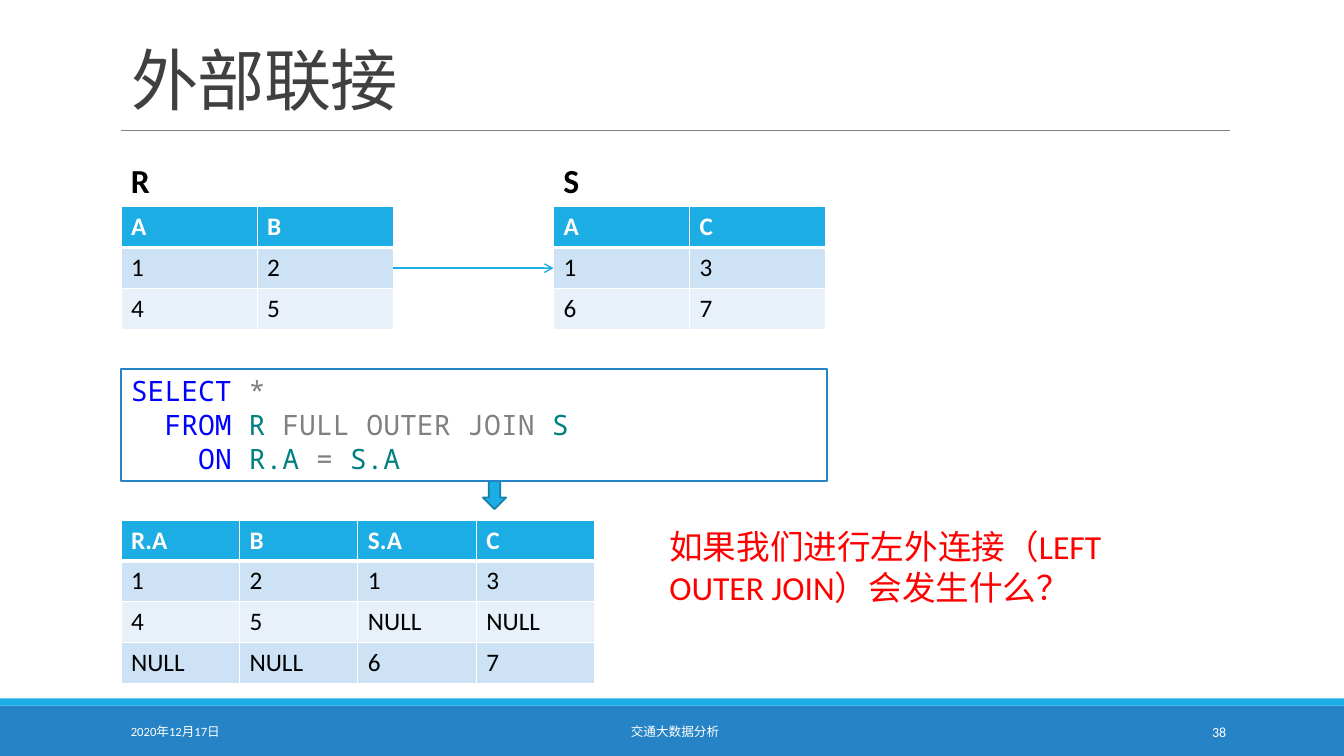
from lxml.etree import SubElement
from pptx import Presentation
from pptx.dml.color import RGBColor
from pptx.enum.shapes import MSO_CONNECTOR, MSO_SHAPE
from pptx.enum.text import MSO_ANCHOR, MSO_AUTO_SIZE, PP_ALIGN
from pptx.oxml.ns import qn
from pptx.util import Emu, Pt

PX = 9144  # 100 px to the inch
FONT = "Calibri"
CODE_FONT = "Noto Sans Mono"
COLORS = {
    "white": "FFFFFF", "black": "000000", "title": "404040", "gray": "808080",
    "accent": "1CADE4", "accent_dark": "1580A9", "blue": "2683C6",
    "band_dark": "CDE3F5", "band_light": "E8F1FA", "red": "FF0000",
    "keyword": "0000FF", "identifier": "008080",
}
SQL_LINES = [
    [("SELECT ", "keyword"), ("*", "gray")],
    [("  ", "black"), ("FROM ", "keyword"), ("R ", "identifier"),
     ("FULL OUTER JOIN ", "gray"), ("S", "identifier")],
    [("    ", "black"), ("ON ", "keyword"), ("R.A ", "identifier"),
     ("= ", "gray"), ("S.A", "identifier")],
]


def px(*lengths):
    return [Emu(length * PX) for length in lengths]


def color(name):
    return RGBColor.from_string(COLORS[name])


class SlideBuilder:
    def __init__(self, slide):
        self.slide = slide
        self.shapes = slide.shapes

    def style_run(self, run, size, color_name, bold=False, font=FONT):
        run.font.name = font
        run.font.size = Pt(size)
        run.font.bold = bold
        run.font.color.rgb = color(color_name)

    def title(self, text, box):
        title = self.shapes.title
        title.left, title.top, title.width, title.height = px(*box)
        frame = title.text_frame
        frame.text = text
        frame.auto_size = MSO_AUTO_SIZE.NONE
        frame.vertical_anchor = MSO_ANCHOR.BOTTOM
        paragraph = frame.paragraphs[0]
        paragraph.alignment = PP_ALIGN.LEFT
        paragraph.line_spacing = 0.85
        run = paragraph.runs[0]
        self.style_run(run, 48, "title")
        run.font._element.set("spc", "-50")

    def text(self, text, box, size, color_name, bold=False,
             align=PP_ALIGN.LEFT, anchor=MSO_ANCHOR.TOP):
        frame = self.shapes.add_textbox(*px(*box)).text_frame
        frame.word_wrap = True
        frame.vertical_anchor = anchor
        frame.text = text
        paragraph = frame.paragraphs[0]
        paragraph.alignment = align
        self.style_run(paragraph.runs[0], size, color_name, bold)

    def shape(self, preset, box, fill, line=None):
        shape = self.shapes.add_shape(preset, *px(*box))
        shape.shadow.inherit = False
        shape.fill.solid()
        shape.fill.fore_color.rgb = color(fill)
        if line:
            shape.line.color.rgb = color(line)
            shape.line.width = Pt(1.25)
        else:
            shape.line.fill.background()
        return shape

    def line(self, start, end, color_name, width, arrow=False):
        connector = self.shapes.add_connector(
            MSO_CONNECTOR.STRAIGHT, *px(*start, *end))
        connector.line.color.rgb = color(color_name)
        connector.line.width = Pt(width)
        if arrow:
            SubElement(connector.line._get_or_add_ln(), qn("a:tailEnd"), type="arrow")
        SubElement(connector._element.spPr, qn("a:effectLst"))

    def cell_borders(self, cell, bottom_width):
        properties = cell._tc.get_or_add_tcPr()
        for side, width in (("L", 1), ("R", 1), ("T", 1), ("B", bottom_width)):
            border = SubElement(properties, qn("a:ln" + side), w=str(Pt(width)))
            fill = SubElement(border, qn("a:solidFill"))
            SubElement(fill, qn("a:srgbClr"), val=COLORS["white"])

    def table(self, rows, box):
        table = self.shapes.add_table(len(rows), len(rows[0]), *px(*box)).table
        for row_index, row in enumerate(rows):
            header = row_index == 0
            band = "band_dark" if row_index % 2 else "band_light"
            for column_index, value in enumerate(row):
                cell = table.cell(row_index, column_index)
                cell.text = value
                self.style_run(cell.text_frame.paragraphs[0].runs[0], 18,
                               "white" if header else "black", header)
                self.cell_borders(cell, 3 if header else 1)
                cell.fill.solid()
                cell.fill.fore_color.rgb = color("accent" if header else band)

    def code(self, lines, box):
        frame = self.shape(MSO_SHAPE.RECTANGLE, box, "white", "blue").text_frame
        frame.word_wrap = True
        frame.vertical_anchor = MSO_ANCHOR.TOP
        for index, line in enumerate(lines):
            paragraph = frame.add_paragraph() if index else frame.paragraphs[0]
            paragraph.alignment = PP_ALIGN.LEFT
            for text, color_name in line:
                run = paragraph.add_run()
                run.text = text
                self.style_run(run, 20, color_name, font=CODE_FONT)


def main():
    presentation = Presentation()
    presentation.slide_width, presentation.slide_height = px(1333, 750)
    builder = SlideBuilder(
        presentation.slides.add_slide(presentation.slide_layouts[5]))

    builder.shape(MSO_SHAPE.RECTANGLE, (0, 700, 1333, 50), "blue")
    builder.shape(MSO_SHAPE.RECTANGLE, (0, 693, 1333, 7), "accent")
    builder.line((120, 129), (1220, 129), "gray", 0.5)
    builder.title("外部联接", (120, 14, 1100, 109))

    for text, left, width, size, align in (
            ("2020年12月17日", 120, 270, 9, PP_ALIGN.LEFT),
            ("交通大数据分析", 406, 527, 9, PP_ALIGN.CENTER),
            ("38", 1083, 143, 10, PP_ALIGN.RIGHT)):
        builder.text(text, (left, 706, width, 40), size, "white",
                     align=align, anchor=MSO_ANCHOR.MIDDLE)

    for name, left, rows in (
            ("R", 120, [("A", "B"), ("1", "2"), ("4", "5")]),
            ("S", 549, [("A", "C"), ("1", "3"), ("6", "7")])):
        builder.text(name, (left, 154, 39, 51), 24, "black", bold=True)
        builder.table(rows, (left, 205, 270, 122))
    builder.line((390, 266), (549, 266), "accent", 1, arrow=True)

    builder.shape(MSO_SHAPE.DOWN_ARROW, (479, 457, 23, 48), "accent", "accent_dark")
    builder.code(SQL_LINES, (120, 366, 700, 111))
    builder.table([("R.A", "B", "S.A", "C"), ("1", "2", "1", "3"),
                   ("4", "5", "NULL", "NULL"), ("NULL", "NULL", "6", "7")],
                  (120, 516, 470, 162))
    builder.text("如果我们进行左外连接（LEFT OUTER JOIN）会发生什么？",
                 (654, 517, 477, 91), 24, "red")

    presentation.save("out.pptx")


if __name__ == "__main__":
    main()
